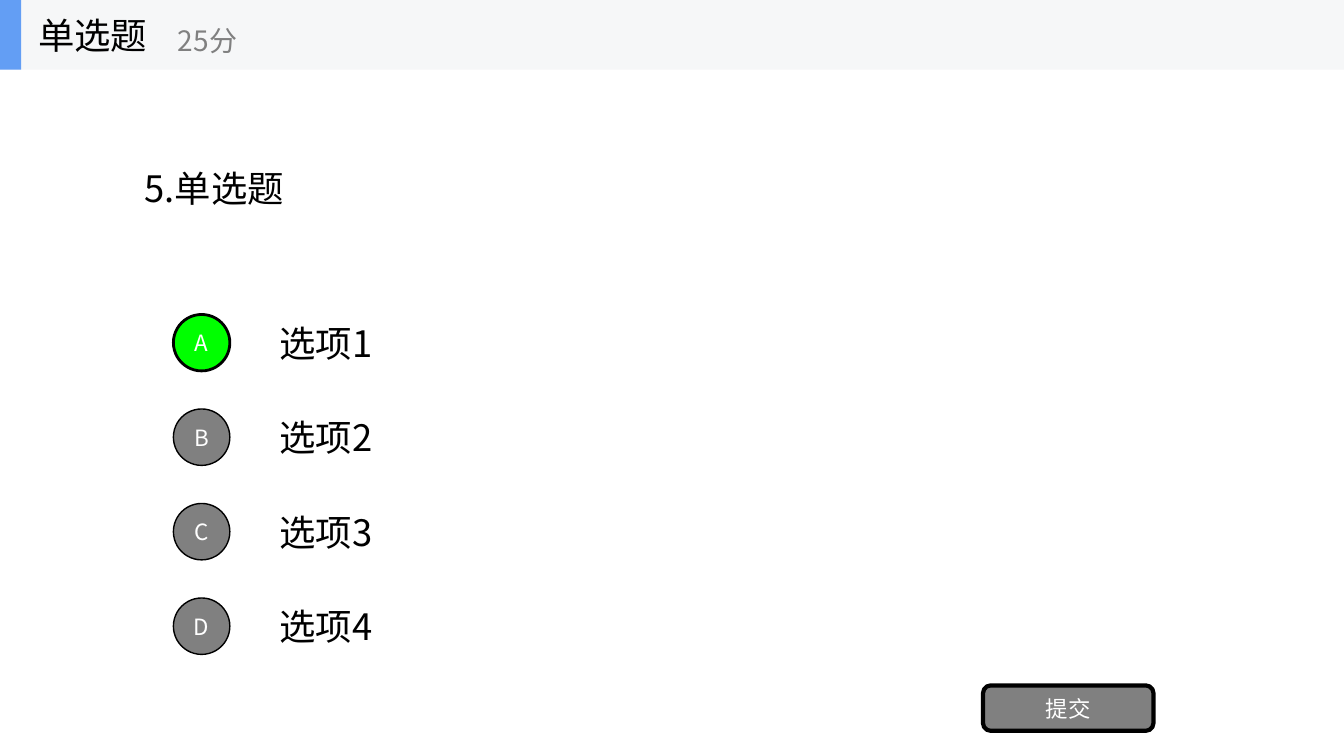
from dataclasses import dataclass

import lxml.etree
import pptx
import pptx.dml.color
import pptx.enum.shapes
import pptx.enum.text
import pptx.oxml.ns
import pptx.util

SHAPE = pptx.enum.shapes.MSO_SHAPE
ALIGN = pptx.enum.text.PP_ALIGN
WIDTH, HEIGHT = 13.33, 7.5
ROW = HEIGHT / 8          # distance from one option to the next


@dataclass(frozen=True)
class Theme:
    font: str = "Noto Sans CJK SC"
    ink: str = "000000"
    paper: str = "FFFFFF"
    grey: str = "808080"
    chosen: str = "00FF00"
    band: str = "F6F7F8"
    accent: str = "639EF4"
    heading: int = 26
    score: int = 20
    label: int = 16


THEME = Theme()


def rgb(value):
    return pptx.dml.color.RGBColor.from_string(value)


def inches(box):
    return [pptx.util.Inches(length) for length in box]


def write(holder, words, size, color, align=ALIGN.LEFT):
    """Fill a text frame with one vertically centred paragraph."""
    frame = holder.text_frame
    frame.word_wrap = True
    frame.auto_size = pptx.enum.text.MSO_AUTO_SIZE.NONE
    frame.vertical_anchor = pptx.enum.text.MSO_ANCHOR.MIDDLE
    frame.text = words
    paragraph = frame.paragraphs[0]
    paragraph.alignment = align
    paragraph.font.size = pptx.util.Pt(size)
    paragraph.font.name = THEME.font
    paragraph.font.color.rgb = rgb(color)
    # Chinese characters take the East Asian typeface
    defaults = paragraph._p.pPr.find(pptx.oxml.ns.qn("a:defRPr"))
    lxml.etree.SubElement(defaults, pptx.oxml.ns.qn("a:ea"), typeface=THEME.font)


def add_text(shapes, box, words, size, color=THEME.ink):
    write(shapes.add_textbox(*inches(box)), words, size, color)


def add_block(shapes, kind, box, fill, outline=0):
    block = shapes.add_shape(kind, *inches(box))
    block.shadow.inherit = False
    block.fill.solid()
    block.fill.fore_color.rgb = rgb(fill)
    if outline:
        block.line.color.rgb = rgb(THEME.ink)
        block.line.width = pptx.util.Pt(outline)
    else:
        block.line.fill.background()
    return block


def add_button(shapes, kind, box, words, fill, outline):
    button = add_block(shapes, kind, box, fill, outline)
    button.text_frame.margin_left = button.text_frame.margin_right = 0
    button.text_frame.margin_top = button.text_frame.margin_bottom = 0
    write(button, words, THEME.label, THEME.paper, ALIGN.CENTER)


def add_question(slide, box, words):
    title = slide.shapes.title
    title.left, title.top, title.width, title.height = inches(box)
    write(title, words, THEME.heading, THEME.ink)


def add_options(slide, box, options, answer):
    """Stack the options, each with a round letter button left of its text."""
    left, top, width, height = box
    disc = 0.56
    text_left = left + 0.95
    for index, (letter, words) in enumerate(options):
        row_top = top + index * ROW
        add_text(slide.shapes, (text_left, row_top, left + width - text_left, height),
                 words, THEME.heading)
        right = letter == answer
        add_button(slide.shapes, SHAPE.OVAL,
                   (left, row_top + (height - disc) / 2, disc, disc), letter,
                   THEME.chosen if right else THEME.grey, 2 if right else 1)


def add_header(slide, box, kind, score):
    left, top, width, height = box
    header = slide.shapes.add_group_shape().shapes
    add_block(header, SHAPE.RECTANGLE, box, THEME.band)
    add_block(header, SHAPE.RECTANGLE, (left, top, 0.21, height), THEME.accent)
    add_text(header, (left + 0.28, top, 2.08, height), kind, THEME.heading)
    add_text(header, (left + WIDTH / 8, top + 0.12, 2.5, height - 0.13),
             score, THEME.score, THEME.grey)


def main():
    deck = pptx.Presentation()
    deck.slide_width, deck.slide_height = inches((WIDTH, HEIGHT))
    slide = deck.slides.add_slide(deck.slide_layouts.get_by_name("Title Only"))

    header_height = 0.69
    add_question(slide, (WIDTH / 10, header_height, WIDTH * 0.8, 2.34), "5.单选题")
    options = [("A", "选项1"), ("B", "选项2"), ("C", "选项3"), ("D", "选项4")]
    add_options(slide, (1.72, 3.05, 10.28, 0.7), options, answer="A")
    add_button(slide.shapes, SHAPE.ROUNDED_RECTANGLE, (9.75, 6.8, 1.69, 0.45),
               "提交", THEME.grey, 3)
    add_header(slide, (0, 0, WIDTH, header_height), "单选题", "25分")

    deck.save("out.pptx")


if __name__ == "__main__":
    main()
